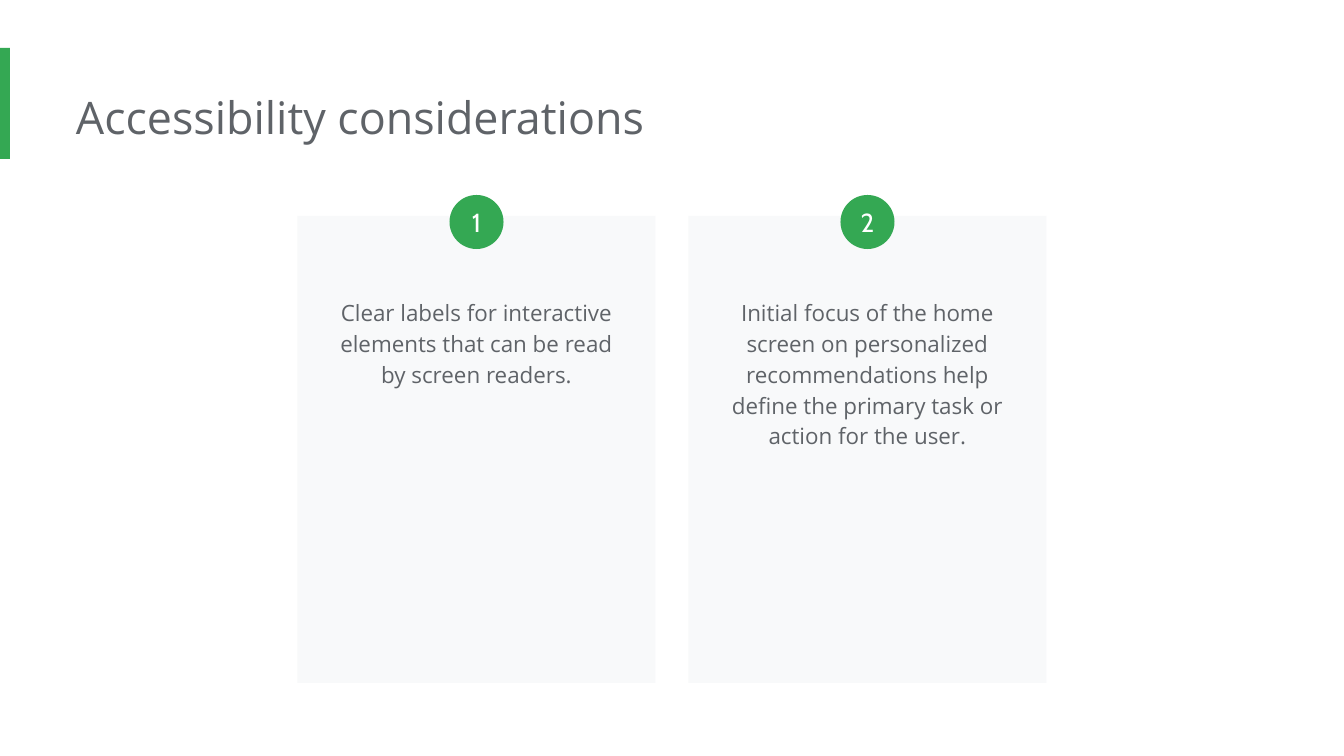
"""Build the accessibility considerations slide."""
from dataclasses import dataclass

from pptx import Presentation
from pptx.dml.color import RGBColor
from pptx.enum.shapes import MSO_SHAPE as Shape
from pptx.enum.text import MSO_ANCHOR as Anchor, PP_ALIGN as Align
from pptx.util import Emu, Pt

TITLE = "Accessibility considerations"
CARDS = [
    "Clear labels for interactive elements that can be read by screen readers.",
    "Initial focus of the home screen on personalized recommendations help "
    "define the primary task or action for the user.",
]


@dataclass(frozen=True)
class Theme:
    accent: str = "34A853"
    card: str = "F8F9FA"
    text: str = "5F6368"
    white: str = "FFFFFF"
    body_font: str = "Open Sans"
    badge_font: str = "Cabin"
    title_size: int = 24
    badge_size: int = 14
    body_size: int = 12


T = Theme()
EMU_PER_PX = 914400 / 134.4
SLIDE_W, SLIDE_H = 1344, 756
CARD_W, CARD_H, CARD_TOP, CARD_GAP = 358, 467, 216, 33
BADGE, BADGE_TOP = 54, 195
BODY_W, BODY_H, BODY_TOP = 301, 179, 282
INSET = 13


def px(*values):
    return [Emu(round(v * EMU_PER_PX)) for v in values]


def add_block(s, kind, box, color):
    sp = s.shapes.add_shape(kind, *px(*box))
    sp.shadow.inherit = False
    sp.fill.solid()
    sp.fill.fore_color.rgb = RGBColor.from_string(color)
    sp.line.fill.background()
    return sp


def write(sp, text, font, size, color, align, anchor, insets):
    tf = sp.text_frame
    tf.text = text
    tf.word_wrap = True
    tf.vertical_anchor = anchor
    tf.margin_left, tf.margin_top, tf.margin_right, tf.margin_bottom = px(*insets)
    p = tf.paragraphs[0]
    p.alignment = align
    r = p.runs[0]
    r.font.name, r.font.size = font, Pt(size)
    r.font.color.rgb = RGBColor.from_string(color)
    return p


def add_card(s, number, text, left):
    center = left + CARD_W / 2
    add_block(s, Shape.RECTANGLE, (left, CARD_TOP, CARD_W, CARD_H), T.card)
    badge = add_block(s, Shape.OVAL, (center - BADGE / 2, BADGE_TOP, BADGE, BADGE), T.accent)
    write(badge, str(number), T.badge_font, T.badge_size, T.white,
          Align.CENTER, Anchor.MIDDLE, [0] * 4)
    body = s.shapes.add_textbox(*px(center - BODY_W / 2, BODY_TOP, BODY_W, BODY_H))
    p = write(body, text, T.body_font, T.body_size, T.text,
              Align.CENTER, Anchor.TOP, [INSET] * 4)
    p.line_spacing = 1.15


def main():
    prs = Presentation()
    prs.slide_width, prs.slide_height = px(SLIDE_W, SLIDE_H)
    s = prs.slides.add_slide(prs.slide_layouts[5])
    add_block(s, Shape.RECTANGLE, (0, 48, 10, 111), T.accent)

    title = s.shapes.title
    title.left, title.top, title.width, title.height = px(76, 77, 1030, 82)
    write(title, TITLE, T.body_font, T.title_size, T.text,
          Align.LEFT, Anchor.TOP, [0] + [INSET] * 3)

    row_w = len(CARDS) * (CARD_W + CARD_GAP) - CARD_GAP
    first_left = (SLIDE_W - row_w) / 2
    for i, text in enumerate(CARDS):
        add_card(s, i + 1, text, first_left + i * (CARD_W + CARD_GAP))
    prs.save("out.pptx")


if __name__ == "__main__":
    main()
